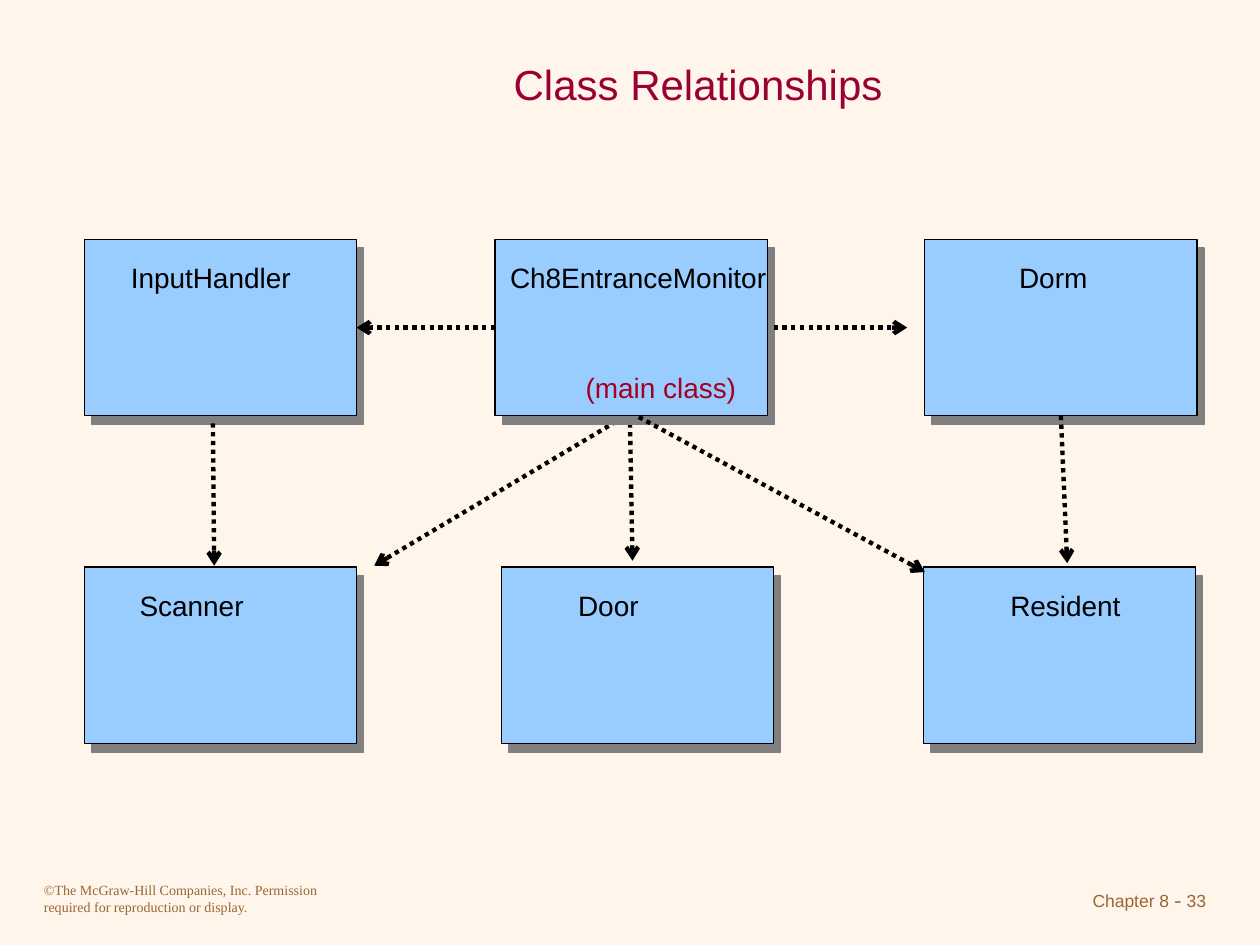
from lxml import etree
from pptx import Presentation
from pptx.dml.color import RGBColor
from pptx.enum.dml import MSO_LINE
from pptx.enum.shapes import MSO_CONNECTOR, MSO_SHAPE
from pptx.enum.text import MSO_ANCHOR, PP_ALIGN
from pptx.oxml import parse_xml
from pptx.oxml.ns import nsdecls, qn
from pptx.util import Inches, Pt

STRAIGHT = MSO_CONNECTOR.STRAIGHT
RECTANGLE = MSO_SHAPE.RECTANGLE
DOTTED = MSO_LINE.ROUND_DOT
LEFT, CENTER, RIGHT = PP_ALIGN.LEFT, PP_ALIGN.CENTER, PP_ALIGN.RIGHT
MIDDLE = MSO_ANCHOR.MIDDLE
SIDE_LEFT, SIDE_BOTTOM, SIDE_RIGHT = 1, 2, 3

BOX_WIDTH, BOX_HEIGHT = 2.16, 1.4
TOP_ROW, BOTTOM_ROW = 1.9, 4.5
BROWN = "996633"
hex_color = RGBColor.from_string


def add_run(paragraph, text, size=16, font="Arial", color="000000", align=LEFT):
    paragraph.alignment = align
    run = paragraph.add_run()
    run.text = text
    run.font.size = Pt(size)
    run.font.name = font
    run.font.color.rgb = hex_color(color)


def add_arrow(start, end):
    arrow = slide.shapes.add_connector(STRAIGHT, *map(Inches, start + end))
    arrow.line.width = Pt(2.5)
    arrow.line.color.rgb = hex_color("000000")
    arrow.line.dash_style = DOTTED
    etree.SubElement(arrow.line._get_or_add_ln(), qn("a:tailEnd"), type="arrow")
    etree.SubElement(arrow._element.spPr, qn("a:effectLst"))
    return arrow


presentation = Presentation()
presentation.slide_width, presentation.slide_height = Inches(10), Inches(7.5)
slide = presentation.slides.add_slide(presentation.slide_layouts[5])
slide.background.fill.solid()
slide.background.fill.fore_color.rgb = hex_color("FFF5EB")

# Title
title = slide.shapes.title
title.left, title.top = Inches(1.5), Inches(0.25)
title.width, title.height = Inches(8.08), Inches(0.83)
title.text_frame.vertical_anchor = MIDDLE
add_run(title.text_frame.paragraphs[0], "Class Relationships",
        size=24, color="990033", align=CENTER)

# Arrows that pass behind the main class's shadow
add_arrow((5, 3.36), (5.02, 4.45))
add_arrow((4.95, 3.31), (2.97, 4.49))

# Class boxes: name, left, top, left of label
classes = [
    ("Door", 3.98, BOTTOM_ROW, 4.49),
    ("Scanner", 0.67, BOTTOM_ROW, 1.01),
    ("Resident", 7.33, BOTTOM_ROW, 7.92),
    ("InputHandler", 0.67, TOP_ROW, 0.94),
    ("Ch8EntranceMonitor", 3.93, TOP_ROW, 3.95),
    ("Dorm", 7.34, TOP_ROW, 7.99),
]
boxes = {}
labels = []
for name, left, top, label_left in classes:
    box = slide.shapes.add_shape(RECTANGLE, Inches(left), Inches(top),
                                 Inches(BOX_WIDTH), Inches(BOX_HEIGHT))
    box.fill.solid()
    box.fill.fore_color.rgb = hex_color("99CCFF")
    box.line.color.rgb = hex_color("000000")
    box.line.width = Pt(0.75)
    # Hard grey shadow, 6.4 points towards the lower right (51 degrees)
    box._element.spPr.append(parse_xml(
        f'<a:effectLst {nsdecls("a")}>'
        f'<a:outerShdw blurRad="0" dist="{Pt(6.4)}" dir="{51 * 60000}" '
        'algn="ctr" rotWithShape="0"><a:srgbClr val="808080"/>'
        '</a:outerShdw></a:effectLst>'))
    boxes[name] = box
    label_width = 2.3 if name == "Ch8EntranceMonitor" else 1.5
    labels.append((name, label_left, top + 0.12, label_width, "000000"))

# Arrows in front of the boxes
add_arrow((5.07, 3.31), (7.34, 4.54))
add_arrow((6.14, 2.6), (7.2, 2.6))
add_arrow((1.69, 3.36), (1.7, 4.49))
add_arrow((8.42, 3.3), (8.47, 4.47)).begin_connect(boxes["Dorm"], SIDE_BOTTOM)
input_arrow = add_arrow((3.93, 2.6), (2.83, 2.6))
input_arrow.begin_connect(boxes["Ch8EntranceMonitor"], SIDE_LEFT)
input_arrow.end_connect(boxes["InputHandler"], SIDE_RIGHT)

# Labels
labels.append(("(main class)", 4.55, 2.89, 1.53, "A50021"))
for text, left, top, width, color in labels:
    label = slide.shapes.add_textbox(Inches(left), Inches(top), Inches(width), Inches(0.37))
    label.text_frame.word_wrap = True
    add_run(label.text_frame.paragraphs[0], text, color=color)

# Footer
copyright_box = slide.shapes.add_textbox(Inches(0.25), Inches(6.95), Inches(2.5), Inches(0.38))
copyright_box.text_frame.word_wrap = True
add_run(copyright_box.text_frame.paragraphs[0],
        "©The McGraw-Hill Companies, Inc. Permission required for reproduction or display.",
        size=8, font="Times New Roman", color=BROWN)

page_box = slide.shapes.add_textbox(Inches(7.5), Inches(6.99), Inches(2.17), Inches(0.34))
page_box.text_frame.word_wrap = True
page_paragraph = page_box.text_frame.paragraphs[0]
for text, size, font in [("Chapter 8", 10, "Arial"), (" - ", 12, "Times New Roman"),
                         ("33", 10, "Arial")]:
    add_run(page_paragraph, text, size=size, font=font, color=BROWN, align=RIGHT)

presentation.save("out.pptx")
